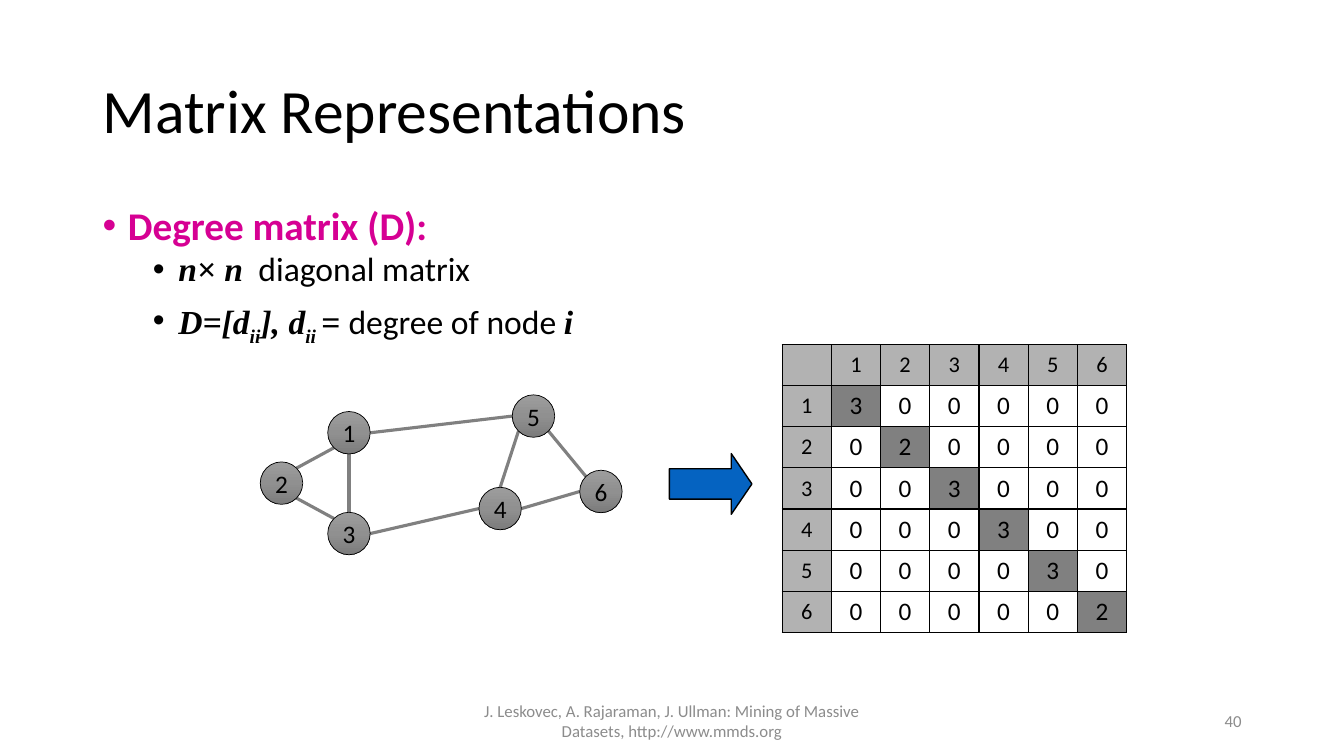
from dataclasses import dataclass
from math import cos, radians, sin

from lxml.etree import SubElement
from pptx import Presentation
from pptx.dml.color import RGBColor
from pptx.enum.shapes import MSO_CONNECTOR, MSO_SHAPE
from pptx.enum.text import MSO_ANCHOR, MSO_AUTO_SIZE, PP_ALIGN
from pptx.oxml import parse_xml
from pptx.oxml.ns import nsdecls, qn
from pptx.util import Cm, Pt

COLORS = {
    "black": "000000",
    "heading": "D60093",
    "footer": "8C8C8C",
    "arrow": "0563C1",
    "edge": "808080",
    "header": "B2B2B2",
    "diagonal": "808080",
}
NODE_GRADIENT = {0: "9D9D9D", 50000: "909090", 100000: "7C7C7C"}
NODE_DIAMETER = 1.07
MATH = {"font": "Times New Roman", "bold": True, "italic": True}
SUBSCRIPT = {**MATH, "baseline": -25000}


@dataclass(frozen=True)
class Node:
    label: int
    left: float
    top: float

    def rim(self, angle: int) -> tuple[Cm, Cm]:
        radius = NODE_DIAMETER / 2
        return (
            Cm(self.left + radius * (1 + cos(radians(angle)))),
            Cm(self.top + radius * (1 + sin(radians(angle)))),
        )


@dataclass(frozen=True)
class Edge:
    start: int
    end: int
    start_angle: int
    end_angle: int


@dataclass(frozen=True)
class Bullet:
    spans: list
    level: int
    size: int
    margin: float
    before: int
    color: str = "black"


@dataclass(frozen=True)
class Note:
    text: str
    left: float
    width: float
    align: PP_ALIGN


NODES = [
    Node(1, 8.26, 10.37),
    Node(3, 8.26, 12.91),
    Node(2, 6.56, 11.64),
    Node(5, 12.91, 9.95),
    Node(4, 12.07, 12.28),
    Node(6, 14.61, 11.85),
]
EDGES = [
    Edge(1, 2, 135, 315),
    Edge(2, 3, 45, 225),
    Edge(1, 3, 90, 270),
    Edge(1, 5, 0, 180),
    Edge(3, 4, 0, 180),
    Edge(5, 6, 45, 225),
    Edge(4, 6, 0, 180),
    Edge(5, 4, 135, 270),
]
BULLETS = [
    Bullet([("Degree matrix (D):", {"bold": True})], 0, 28, 0.64, 0, "heading"),
    Bullet([("n× n", MATH), ("  diagonal matrix", {})], 1, 24, 1.91, 3),
    Bullet(
        [
            ("D=[d", MATH),
            ("ii", SUBSCRIPT),
            ("], d", MATH),
            ("ii ", SUBSCRIPT),
            ("= ", MATH),
            ("degree of node ", {}),
            ("i", MATH),
        ],
        1, 24, 1.91, 9,
    ),
]
NOTES = [
    Note(
        "J. Leskovec, A. Rajaraman, J. Ullman: Mining of Massive Datasets, "
        "http://www.mmds.org",
        11.22, 11.43, PP_ALIGN.CENTER,
    ),
    Note("40", 23.92, 7.62, PP_ALIGN.RIGHT),
]


def rgb(name: str) -> RGBColor:
    return RGBColor.from_string(COLORS[name])


def write(para, text: str, *, size: int, color: str = "black", font: str = "Calibri",
          bold: bool = False, italic: bool = False, baseline: int = 0) -> None:
    span = para.add_run()
    span.text = text
    span.font.name = font
    span.font.size = Pt(size)
    span.font.bold = bold
    span.font.italic = italic
    span.font.color.rgb = rgb(color)
    if baseline:
        span._r.get_or_add_rPr().set("baseline", str(baseline))


def place(shape, left: float, top: float, width: float, height: float) -> None:
    shape.left, shape.top = Cm(left), Cm(top)
    shape.width, shape.height = Cm(width), Cm(height)


def fill_title(page) -> None:
    title = page.shapes.title
    place(title, 2.33, 1.01, 29.21, 3.68)
    title.text_frame.auto_size = MSO_AUTO_SIZE.NONE
    title.text_frame.vertical_anchor = MSO_ANCHOR.MIDDLE
    para = title.text_frame.paragraphs[0]
    para.alignment = PP_ALIGN.LEFT
    para.line_spacing = 0.9
    write(para, "Matrix Representations", size=44)


def fill_body(page) -> None:
    body = page.placeholders[1]
    place(body, 2.33, 5.07, 29.21, 12.09)
    frame = body.text_frame
    frame.auto_size = MSO_AUTO_SIZE.NONE
    for index, bullet in enumerate(BULLETS):
        para = frame.add_paragraph() if index else frame.paragraphs[0]
        para.level = bullet.level
        properties = para._p.get_or_add_pPr()
        properties.set("marL", str(Cm(bullet.margin)))
        properties.set("indent", str(-Cm(0.64)))
        SubElement(properties, qn("a:buFont")).set("typeface", "Arial")
        SubElement(properties, qn("a:buChar")).set("char", "•")
        para.line_spacing = 0.9
        para.space_before = Pt(bullet.before)
        for text, style in bullet.spans:
            write(para, text, size=bullet.size, color=bullet.color, **style)


def add_note(page, note: Note) -> None:
    box = page.shapes.add_textbox(Cm(note.left), Cm(17.66), Cm(note.width), Cm(1.01))
    box.text_frame.word_wrap = True
    box.text_frame.vertical_anchor = MSO_ANCHOR.MIDDLE
    para = box.text_frame.paragraphs[0]
    para.alignment = note.align
    write(para, note.text, size=12, color="footer")


def add_arrow(page) -> None:
    arrow = page.shapes.add_shape(
        MSO_SHAPE.RIGHT_ARROW, Cm(16.87), Cm(11.43), Cm(2.08), Cm(1.53))
    arrow.adjustments[1] = 0.34
    arrow.shadow.inherit = False
    arrow.fill.solid()
    arrow.fill.fore_color.rgb = rgb("arrow")
    arrow.line.color.rgb = rgb("black")
    arrow.line.width = Pt(1)


def add_edge(group, start: tuple[Cm, Cm], end: tuple[Cm, Cm]) -> None:
    line = group.shapes.add_connector(MSO_CONNECTOR.STRAIGHT, *start, *end)
    line.line.color.rgb = rgb("edge")
    line.line.width = Pt(2.25)
    SubElement(line._element.spPr, qn("a:effectLst"))


def add_node(group, node: Node) -> None:
    circle = group.shapes.add_shape(
        MSO_SHAPE.OVAL, Cm(node.left), Cm(node.top), Cm(NODE_DIAMETER), Cm(NODE_DIAMETER))
    stops = "".join(
        f'<a:gs pos="{position}"><a:srgbClr val="{color}"/></a:gs>'
        for position, color in NODE_GRADIENT.items())
    circle._element.spPr.insert(2, parse_xml(
        f'<a:gradFill {nsdecls("a")}><a:gsLst>{stops}</a:gsLst>'
        '<a:lin ang="5400000" scaled="0"/></a:gradFill>'))
    circle.line.color.rgb = rgb("black")
    circle.line.width = Pt(0.5)
    circle.shadow.inherit = False
    frame = circle.text_frame
    frame.margin_left = frame.margin_right = frame.margin_top = frame.margin_bottom = 0
    frame.word_wrap = False
    frame.vertical_anchor = MSO_ANCHOR.MIDDLE
    frame.paragraphs[0].alignment = PP_ALIGN.CENTER
    write(frame.paragraphs[0], str(node.label), size=18)


def add_graph(page) -> None:
    group = page.shapes.add_group_shape()
    nodes = {node.label: node for node in NODES}
    for edge in EDGES:
        add_edge(group, nodes[edge.start].rim(edge.start_angle),
                 nodes[edge.end].rim(edge.end_angle))
    for node in NODES:
        add_node(group, node)


def format_cell(cell, text: str, size: int, fill: str | None) -> None:
    properties = cell._tc.get_or_add_tcPr()
    for side in ("lnL", "lnR", "lnT", "lnB"):
        properties.append(parse_xml(
            f'<a:{side} {nsdecls("a")} w="{Pt(1)}"><a:solidFill>'
            f'<a:srgbClr val="{COLORS["black"]}"/></a:solidFill></a:{side}>'))
    if fill:
        cell.fill.solid()
        cell.fill.fore_color.rgb = rgb(fill)
    else:
        cell.fill.background()
    cell.vertical_anchor = MSO_ANCHOR.MIDDLE
    para = cell.text_frame.paragraphs[0]
    para.alignment = PP_ALIGN.CENTER
    write(para, text, size=size)


def add_degree_matrix(page) -> None:
    count = len(NODES) + 1
    table = page.shapes.add_table(
        count, count, Cm(19.71), Cm(8.69), Cm(1.24 * count), Cm(7.23)).table
    table.first_row = table.horz_banding = False
    for index in range(count):
        table.columns[index].width = Cm(1.24)
        table.rows[index].height = Cm(1.04 if index else 0.99)
        degree = sum(index in (edge.start, edge.end) for edge in EDGES)
        for column in range(count):
            cell = table.cell(index, column)
            if index == 0 or column == 0:
                format_cell(cell, str(index or column or ""), 16, "header")
            elif index == column:
                format_cell(cell, str(degree), 18, "diagonal")
            else:
                format_cell(cell, "0", 18, None)


def main() -> None:
    deck = Presentation()
    deck.slide_width, deck.slide_height = Cm(33.87), Cm(19.05)
    page = deck.slides.add_slide(deck.slide_layouts[1])
    fill_title(page)
    fill_body(page)
    for note in NOTES:
        add_note(page, note)
    add_arrow(page)
    add_graph(page)
    add_degree_matrix(page)
    deck.save("out.pptx")


if __name__ == "__main__":
    main()
